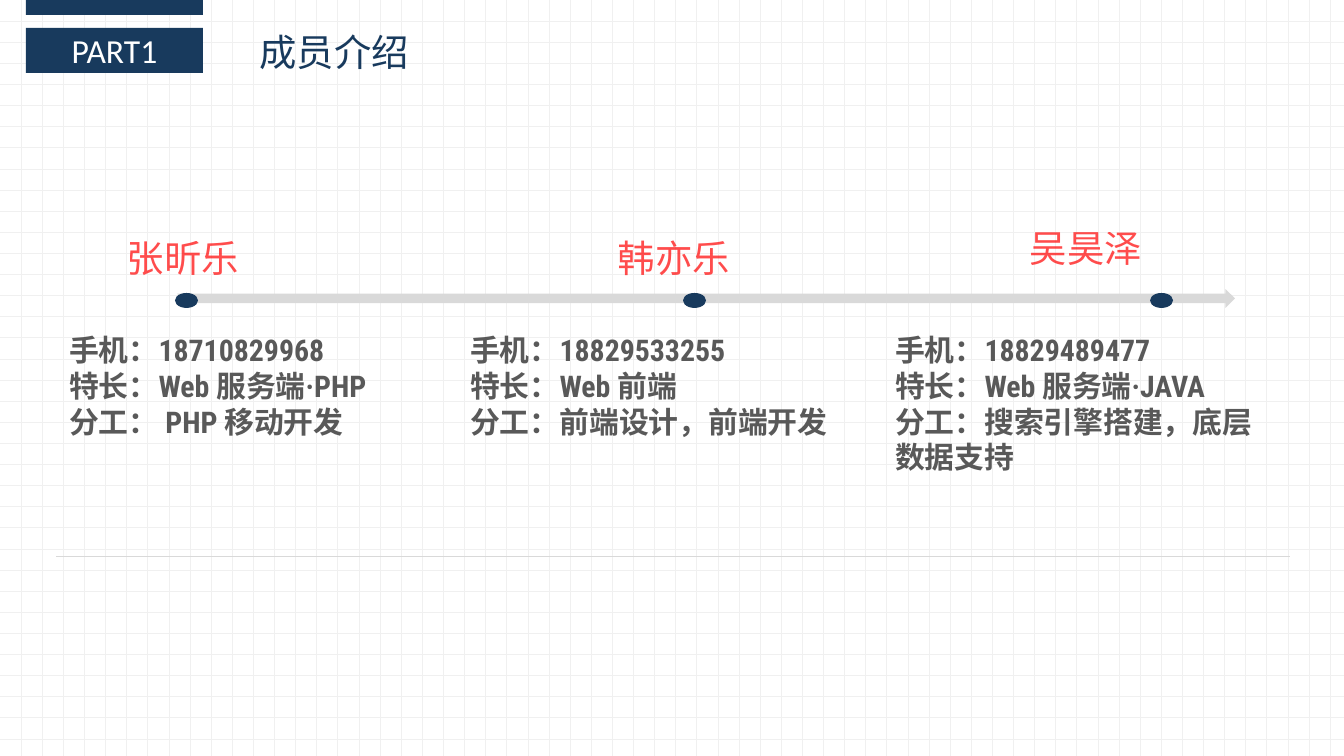
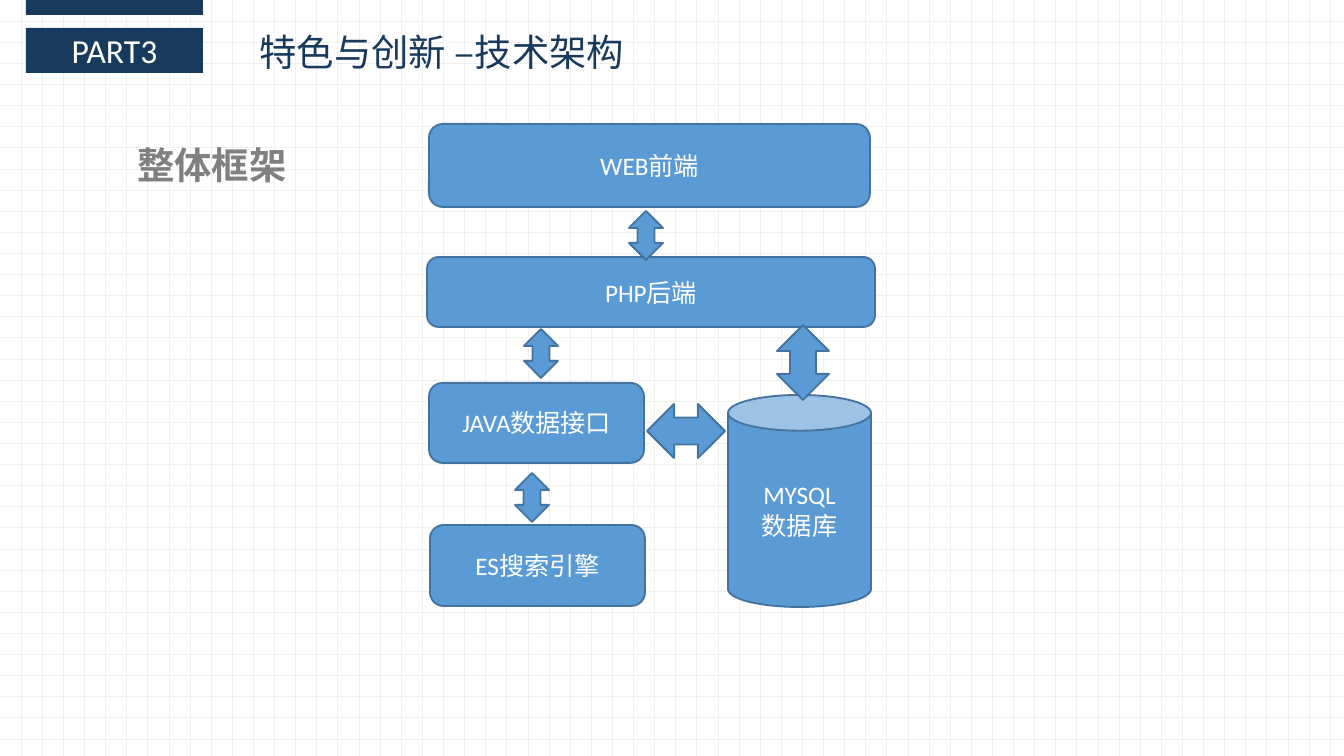
"""Build the member introduction and technical architecture slides."""
from dataclasses import dataclass

from lxml.etree import SubElement
from pptx import Presentation
from pptx.dml.color import RGBColor
from pptx.enum.dml import MSO_PATTERN
from pptx.enum.shapes import MSO_CONNECTOR, MSO_SHAPE
from pptx.enum.text import MSO_ANCHOR, MSO_AUTO_SIZE, PP_ALIGN
from pptx.oxml.ns import qn
from pptx.oxml.xmlchemy import OxmlElement
from pptx.presentation import Presentation as Deck
from pptx.shapes.autoshape import Shape
from pptx.slide import Slide
from pptx.util import Emu, Pt

NAVY = RGBColor(0x18, 0x3A, 0x5D)
WHITE = RGBColor(0xFF, 0xFF, 0xFF)
GRID = RGBColor(0xF0, 0xF0, 0xF0)
SILVER = RGBColor(0xD9, 0xD9, 0xD9)
GRAY = RGBColor(0x80, 0x80, 0x80)
CHARCOAL = RGBColor(0x59, 0x59, 0x59)
RED = RGBColor(0xFF, 0x00, 0x00)
BLUE = RGBColor(0x5B, 0x9B, 0xD5)
BLUE_EDGE = RGBColor(0x43, 0x73, 0x9E)

LATIN = "Calibri"
CHINESE = "Noto Sans CJK SC"
CONDENSED = "Roboto Condensed"

EMU_PER_PX = 914400 / 134.4
TITLE_ONLY = 5


@dataclass(frozen=True)
class Box:
    left: int
    top: int
    width: int
    height: int


@dataclass(frozen=True)
class Member:
    name: str
    name_left: int
    dot_left: int
    details: tuple[str, ...]
    details_box: Box
    name_bottom_inset: int = 0


@dataclass(frozen=True)
class Component:
    lines: tuple[str, ...]
    box: Box
    preset: MSO_SHAPE = MSO_SHAPE.ROUNDED_RECTANGLE


@dataclass(frozen=True)
class Exchange:
    box: Box
    rotation: int = 0


MEMBERS = (
    Member("张昕乐", 78, 175,
           ("手机：18710829968", "特长：Web 服务端·PHP", "分工： PHP 移动开发"),
           Box(56, 325, 484, 122)),
    Member("韩亦乐", 569, 683,
           ("手机：18829533255", "特长：Web 前端", "分工：前端设计，前端开发"),
           Box(457, 325, 457, 122)),
    Member("吴昊泽", 981, 1150,
           ("手机：18829489477", "特长：Web 服务端·JAVA", "分工：搜索引擎搭建，底层\t数据支持"),
           Box(882, 325, 409, 159), name_bottom_inset=19),
)

COMPONENTS = (
    Component(("WEB前端",), Box(429, 124, 441, 83)),
    Component(("PHP后端",), Box(427, 257, 448, 70)),
    Component(("JAVA数据接口",), Box(429, 383, 215, 80)),
    Component(("ES搜索引擎",), Box(430, 525, 215, 81)),
    Component(("MYSQL", "数据库"), Box(728, 395, 143, 212), MSO_SHAPE.CAN),
)

EXCHANGES = (
    Exchange(Box(629, 211, 34, 49)),
    Exchange(Box(524, 329, 34, 49)),
    Exchange(Box(515, 473, 34, 49)),
    Exchange(Box(777, 325, 52, 75)),
    Exchange(Box(659, 392, 54, 78), rotation=270),
)


def px(length: int) -> Emu:
    return Emu(round(length * EMU_PER_PX))


def bounds(box: Box) -> tuple[Emu, Emu, Emu, Emu]:
    return px(box.left), px(box.top), px(box.width), px(box.height)


def write_text(shape: Shape, *lines: str, size: float, color: RGBColor,
               font: str = LATIN, bold: bool = False, opacity: int = 100,
               align: PP_ALIGN = PP_ALIGN.LEFT, anchor: MSO_ANCHOR = MSO_ANCHOR.TOP,
               leading: Pt | None = None, wrap: bool = True) -> None:
    frame = shape.text_frame
    frame.auto_size = MSO_AUTO_SIZE.NONE
    frame.word_wrap = wrap
    frame.vertical_anchor = anchor
    for index, line in enumerate(lines):
        paragraph = frame.add_paragraph() if index else frame.paragraphs[0]
        paragraph.alignment = align
        if leading is not None:
            paragraph.line_spacing = leading
        run = paragraph.add_run()
        run.text = line
        run.font.size = Pt(size)
        run.font.bold = bold
        run.font.name = font
        run.font.color.rgb = color
        properties = run.font._element
        east_asian = OxmlElement("a:ea")
        east_asian.set("typeface", CHINESE)
        properties.find(qn("a:latin")).addnext(east_asian)
        if opacity < 100:
            tint = properties.find(qn("a:solidFill"))[0]
            SubElement(tint, qn("a:alpha")).set("val", str(opacity * 1000))


def add_preset(slide: Slide, preset: MSO_SHAPE, box: Box, fill: RGBColor,
               edge: RGBColor | None = None) -> Shape:
    shape = slide.shapes.add_shape(preset, *bounds(box))
    shape.shadow.inherit = False
    shape.fill.solid()
    shape.fill.fore_color.rgb = fill
    if edge is None:
        shape.line.fill.background()
    else:
        shape.line.color.rgb = edge
        shape.line.width = Pt(1)
    return shape


def add_section_slide(deck: Deck, part: str, heading: str, heading_box: Box) -> Slide:
    slide = deck.slides.add_slide(deck.slide_layouts[TITLE_ONLY])
    title = slide.shapes.title
    title.left, title.top, title.width, title.height = bounds(heading_box)
    write_text(title, heading, size=20, color=NAVY, font=CHINESE)
    add_preset(slide, MSO_SHAPE.RECTANGLE, Box(26, 0, 177, 15), NAVY)
    part_label = add_preset(slide, MSO_SHAPE.RECTANGLE, Box(26, 28, 177, 45), NAVY)
    write_text(part_label, part, size=18, color=WHITE,
               align=PP_ALIGN.CENTER, anchor=MSO_ANCHOR.MIDDLE)
    return slide


def add_divider(slide: Slide, start: int, end: int, height: int) -> None:
    divider = slide.shapes.add_connector(
        MSO_CONNECTOR.STRAIGHT, px(start), px(height), px(end), px(height))
    divider.line.color.rgb = SILVER
    divider.line.width = Pt(0.25)
    SubElement(divider._element.spPr, qn("a:effectLst"))


def add_member(slide: Slide, member: Member) -> None:
    name = slide.shapes.add_textbox(*bounds(Box(member.name_left, 216, 210, 109)))
    frame = name.text_frame
    frame.margin_left = frame.margin_right = px(11)
    frame.margin_top = 0
    frame.margin_bottom = px(member.name_bottom_inset)
    write_text(name, member.name, size=20, color=RED, font=CONDENSED, opacity=70,
               align=PP_ALIGN.CENTER, anchor=MSO_ANCHOR.MIDDLE, leading=Pt(10))
    add_preset(slide, MSO_SHAPE.OVAL, Box(member.dot_left, 293, 23, 15), NAVY)
    details = slide.shapes.add_textbox(*bounds(member.details_box))
    write_text(details, *member.details, size=16, color=CHARCOAL, font=CONDENSED, bold=True)


def add_component(slide: Slide, component: Component) -> None:
    block = add_preset(slide, component.preset, component.box, BLUE, BLUE_EDGE)
    write_text(block, *component.lines, size=13.5, color=WHITE,
               align=PP_ALIGN.CENTER, anchor=MSO_ANCHOR.MIDDLE)


def build_members(deck: Deck) -> None:
    slide = add_section_slide(deck, "PART1", "成员介绍", Box(246, 22, 668, 62))
    add_preset(slide, MSO_SHAPE.NOTCHED_RIGHT_ARROW, Box(177, 289, 1058, 19), SILVER)
    add_divider(slide, 1290, 56, 556)
    for member in MEMBERS:
        add_member(slide, member)


def build_architecture(deck: Deck) -> None:
    slide = add_section_slide(deck, "PART3", "特色与创新 –技术架构", Box(246, 22, 821, 59))
    framework = slide.shapes.add_textbox(*bounds(Box(124, 136, 177, 59)))
    write_text(framework, "整体框架", size=20, color=GRAY, font=CHINESE, bold=True, wrap=False)
    for component in COMPONENTS:
        add_component(slide, component)
    for exchange in EXCHANGES:
        arrow = add_preset(slide, MSO_SHAPE.UP_DOWN_ARROW, exchange.box, BLUE, BLUE_EDGE)
        arrow.rotation = exchange.rotation


def main() -> None:
    deck = Presentation()
    deck.slide_width, deck.slide_height = px(1344), px(756)
    backdrop = deck.slide_master.background.fill
    backdrop.patterned()
    backdrop.pattern = MSO_PATTERN.DOTTED_GRID
    backdrop.fore_color.rgb = GRID
    backdrop.back_color.rgb = WHITE
    build_members(deck)
    build_architecture(deck)
    deck.save("out.pptx")


if __name__ == "__main__":
    main()
